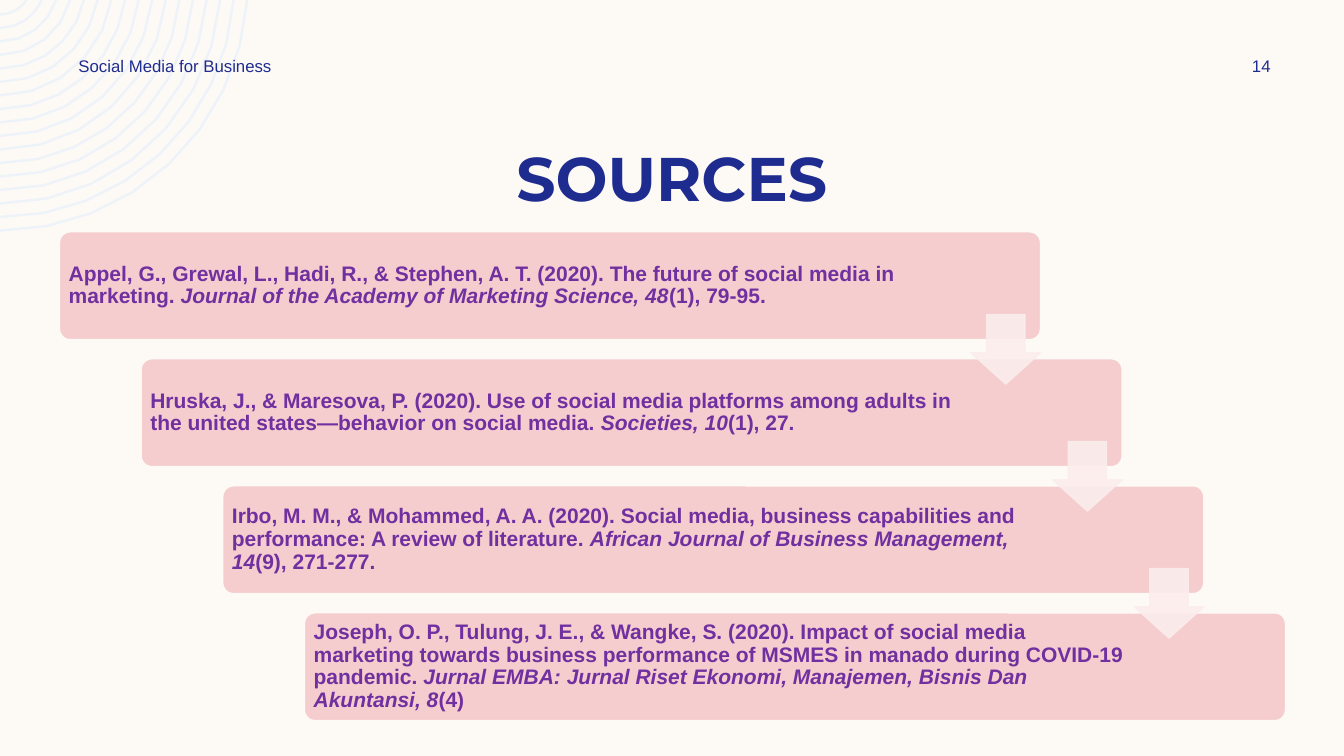
from math import asin, cos, pi, sin

from lxml import etree
from pptx import Presentation
from pptx.dml.color import RGBColor
from pptx.enum.shapes import MSO_SHAPE
from pptx.enum.text import MSO_ANCHOR, PP_ALIGN
from pptx.oxml.ns import qn
from pptx.util import Inches, Pt

ROUNDED, DOWN_ARROW = MSO_SHAPE.ROUNDED_RECTANGLE, MSO_SHAPE.DOWN_ARROW
MIDDLE = MSO_ANCHOR.MIDDLE
LEFT, CENTER = PP_ALIGN.LEFT, PP_ALIGN.CENTER
CREAM, NAVY, PURPLE = "FDFAF6", "1F2C8F", "7030A0"
PINK, PALE_PINK, PALE_BLUE = "F5CDCE", "FBEDED", "EEF3FA"

# Each source: text before the journal, journal in italics, ending, text width
SOURCES = [
    ("Appel, G., Grewal, L., Hadi, R., & Stephen, A. T. (2020). "
     "The future of social media in marketing. ",
     "Journal of the Academy of Marketing Science, 48", "(1), 79-95.", 8.49),
    ("Hruska, J., & Maresova, P. (2020). Use of social media platforms among "
     "adults in the united states—behavior on social media. ",
     "Societies, 10", "(1), 27.", 8.16),
    ("Irbo, M. M., & Mohammed, A. A. (2020). Social media, business "
     "capabilities and performance: A review of literature. ",
     "African Journal of Business Management, 14", "(9), 271-277.", 8.17),
    ("Joseph, O. P., Tulung, J. E., & Wangke, S. (2020). Impact of social "
     "media marketing towards business performance of MSMES in manado during "
     "COVID-19 pandemic. ",
     "Jurnal EMBA: Jurnal Riset Ekonomi, Manajemen, Bisnis Dan Akuntansi, 8",
     "(4)", 8.16),
]


def color(hex_value):
    return RGBColor.from_string(hex_value)


def write(paragraph, text, size=12, font="Arial", ink=NAVY, bold=False,
          italic=False, align=LEFT):
    paragraph.alignment = align
    run = paragraph.add_run()
    run.text = text
    run.font.size, run.font.name = Pt(size), font
    run.font.bold, run.font.italic = bold, italic
    run.font.color.rgb = color(ink)


def paint(shape, fill, line=None, opacity=100):
    shape.shadow.inherit = False
    shape.fill.solid()
    shape.fill.fore_color.rgb = color(fill)
    if line:
        shape.line.color.rgb = color(line)
        shape.line.width = Pt(1)
    else:
        shape.line.fill.background()
    if opacity < 100:
        for tint in shape.element.spPr.iter(qn("a:srgbClr")):
            etree.SubElement(tint, qn("a:alpha"), val=str(opacity * 1000))


def add_rings(slide, left, top, radius, count=17, step=0.134, band=0.025):
    """Concentric arcs whose centre lies a little above the slide edge."""
    rise = 0.17

    def arc(r, steps):
        start = asin(rise / r)
        angles = [start + (pi / 2 - start) * i / steps for i in range(steps + 1)]
        return [(Inches(left + r * cos(a)), Inches(top + r * sin(a) - rise))
                for a in angles]

    builder = None
    for ring in range(count):
        outer = radius - ring * step
        steps = 3 + round(2 * outer)
        outline = arc(outer, steps) + arc(outer - band, steps)[::-1]
        if builder is None:
            builder = slide.shapes.build_freeform(*outline[0])
        else:
            builder.move_to(*outline[0])
        builder.add_line_segments(outline[1:], close=True)
    paint(builder.convert_to_shape(), PALE_BLUE)


def add_label(slide, text, left, top, width, height, align=LEFT):
    frame = slide.shapes.add_textbox(
        Inches(left), Inches(top), Inches(width), Inches(height)).text_frame
    frame.word_wrap = True
    frame.vertical_anchor = MIDDLE
    write(frame.paragraphs[0], text, align=align)


def add_title(slide, text, left, top, width, height):
    title = slide.shapes.title
    title.left, title.top = Inches(left), Inches(top)
    title.width, title.height = Inches(width), Inches(height)
    title.text_frame.vertical_anchor = MIDDLE
    write(title.text_frame.paragraphs[0], text, size=44, font="Montserrat",
          bold=True, align=CENTER)


def add_source_card(slide, source, left, top, width, height):
    opening, journal, ending, text_width = source
    card = slide.shapes.add_shape(
        ROUNDED, Inches(left), Inches(top), Inches(width), Inches(height))
    card.adjustments[0] = 0.1
    paint(card, PINK, CREAM)
    frame = card.text_frame
    frame.word_wrap = True
    frame.vertical_anchor = MIDDLE
    frame.margin_left = frame.margin_top = frame.margin_bottom = Inches(0.06)
    frame.margin_right = Inches(width - text_width)
    citation = frame.paragraphs[0]
    citation.line_spacing = 0.9
    for part in (opening, journal, ending):
        write(citation, part, size=15, ink=PURPLE, bold=True,
              italic=part == journal)


def add_step_arrow(slide, left, top, size):
    arrow = slide.shapes.add_shape(
        DOWN_ARROW, Inches(left), Inches(top), Inches(size), Inches(size))
    arrow.adjustments[0], arrow.adjustments[1] = 0.55, 0.45
    paint(arrow, PALE_PINK, PALE_PINK, opacity=90)


def add_staircase(slide, left, top, width, height):
    """Cards step right and down; an arrow leads from each to the next."""
    card_width, card_height, arrow_size = 9.73, 1.07, 0.69
    gaps = len(SOURCES) - 1
    step_x = (width - card_width) / gaps
    step_y = (height - card_height) / gaps
    for i, source in enumerate(SOURCES):
        add_source_card(slide, source, left + i * step_x, top + i * step_y,
                        card_width, card_height)
    for i in range(gaps):
        add_step_arrow(slide, left + i * step_x + card_width - arrow_size,
                       top + i * step_y + 0.82, arrow_size)


def main():
    deck = Presentation()
    deck.slide_width, deck.slide_height = Inches(13.33), Inches(7.5)
    slide = deck.slides.add_slide(deck.slide_layouts[5])
    slide.background.fill.solid()
    slide.background.fill.fore_color.rgb = color(CREAM)

    add_rings(slide, 0, 0, 2.47)
    add_title(slide, "SOURCES", 0.83, 1.33, 11.67, 0.84)
    # Header
    add_label(slide, "Social Media for Business", 0.68, 0.5, 3.5, 0.3)
    add_label(slide, "14", 11.97, 0.5, 1.08, 0.3, align=CENTER)
    add_staircase(slide, 0.59, 2.3, 12.16, 4.85)
    deck.save("out.pptx")


if __name__ == "__main__":
    main()
